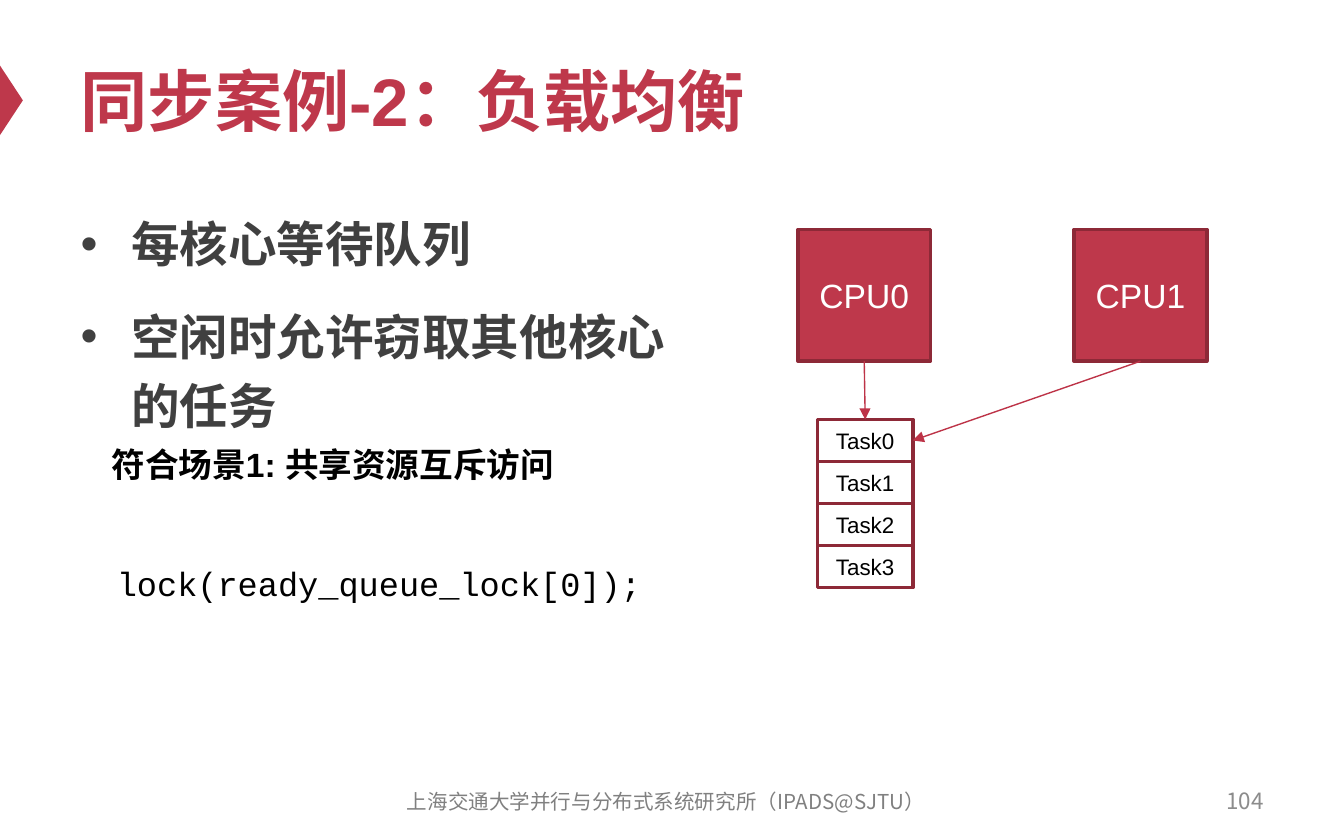
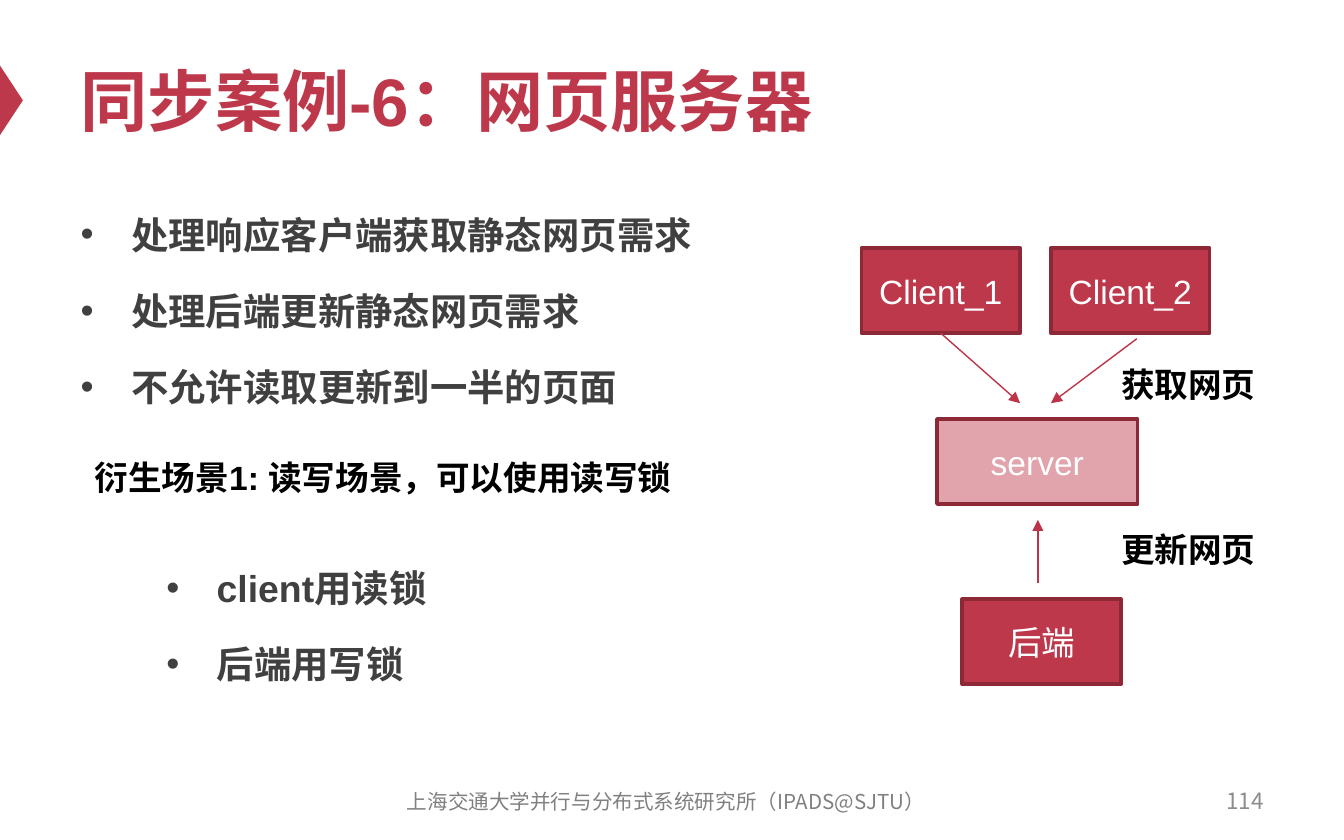
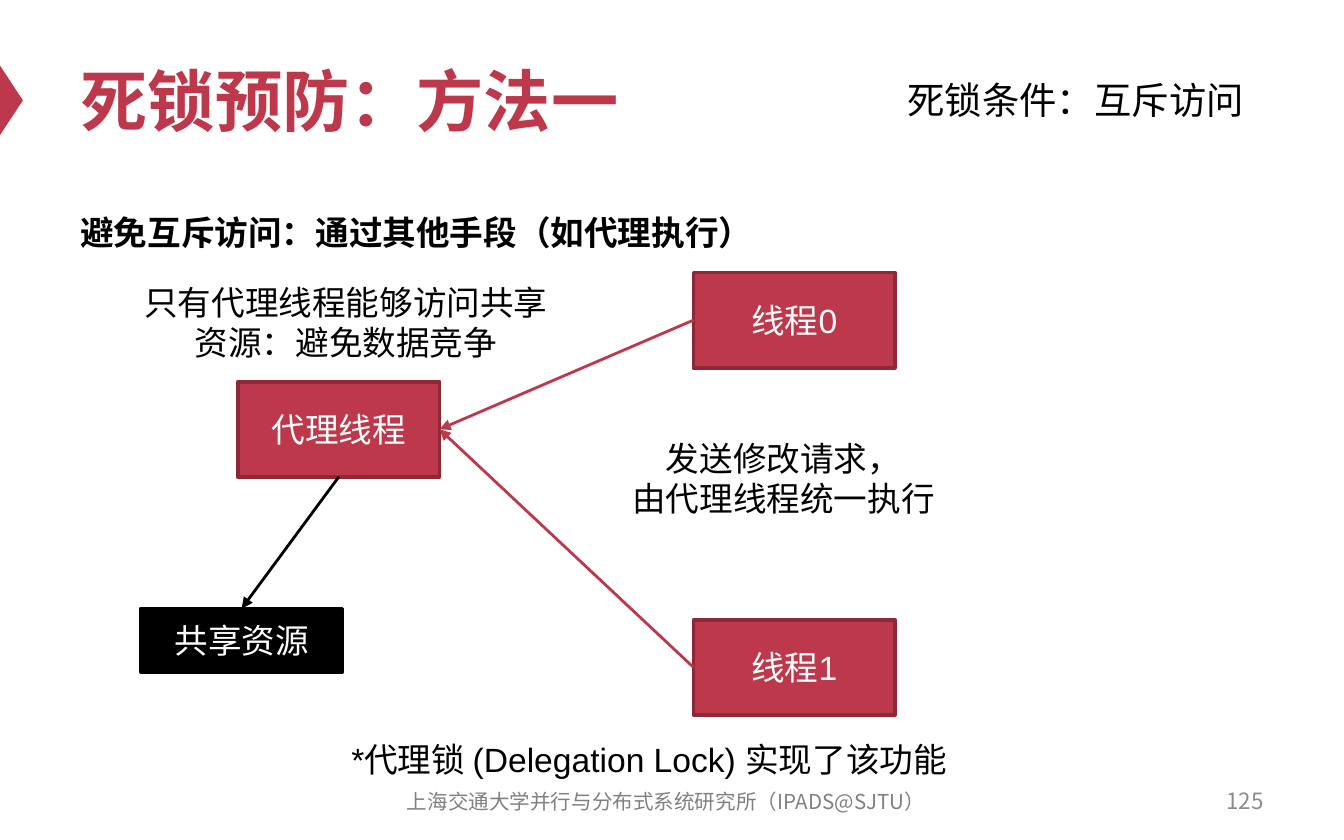
import pptx
import pptx.util
import pptx.dml.color
import pptx.enum.shapes
import pptx.enum.text
import pptx.oxml.ns
from lxml import etree

Pt = pptx.util.Pt
ALIGN = pptx.enum.text.PP_ALIGN
MIDDLE = pptx.enum.text.MSO_ANCHOR.MIDDLE
SHAPE = pptx.enum.shapes.MSO_SHAPE
qn = pptx.oxml.ns.qn

COLORS = {"red": "BE384B", "dark_red": "8D2937", "arrow": "BD3347",
          "body": "404040", "black": "000000", "white": "FFFFFF",
          "footer": "808080", "number": "8C8C8C"}
CJK_FONT = "Noto Sans CJK SC"
FOOTER = "上海交通大学并行与分布式系统研究所（IPADS@SJTU）"
TOP, LEFT, BOTTOM, RIGHT = range(4)  # connection sites of a rectangle


def rgb(name):
    return pptx.dml.color.RGBColor.from_string(COLORS[name])


def write(frame, text, size, color="black", bold=False, align=ALIGN.LEFT,
          font="Arial", bullets=False, spacing=None, wrap=True, anchor=None):
    """Fill a text frame, one paragraph a line, and format every run."""
    frame.text = text
    frame.word_wrap = wrap
    frame.auto_size = pptx.enum.text.MSO_AUTO_SIZE.NONE
    if anchor is not None:
        frame.vertical_anchor = anchor
    for index, paragraph in enumerate(frame.paragraphs):
        paragraph.alignment = align
        paragraph.space_before = Pt(12 if bullets and index else 0)
        if spacing:
            paragraph.line_spacing = spacing
        if bullets:
            properties = paragraph._p.get_or_add_pPr()
            properties.set("marL", str(Pt(27)))
            properties.set("indent", str(-Pt(27)))
            etree.SubElement(properties, qn("a:buFont"), typeface="Arial")
            etree.SubElement(properties, qn("a:buChar"), char="•")
        for run in paragraph.runs:
            run.font.name = font
            run.font.size = Pt(size)
            run.font.bold = bold
            run.font.color.rgb = rgb(color)
            etree.SubElement(run._r.get_or_add_rPr(), qn("a:ea"), typeface=CJK_FONT)


LIST = dict(color="body", bold=True, bullets=True, spacing=1.2)
CENTERED = dict(align=ALIGN.CENTER)
SCENE = dict(bold=True, align=ALIGN.CENTER)
LABEL = dict(bold=True, wrap=False)

# boxes: text, place, fill, line, font size, font colour
# notes: text, place, font size, style
# arrows: start and end, each a point or (box text, connection site)
cpu_boxes = [(f"CPU{i}", (427.5 + 148 * i, 123, 71, 70.5), "red", "dark_red", 18, "white")
             for i in range(2)]
task_boxes = [(f"Task{i}", (438, 224.75 + 22.5 * i, 51, 22.5), None, "dark_red", 12, "black")
              for i in range(4)]
client_boxes = [(f"Client_{i + 1}", (461.5 + 101.5 * i, 133, 85, 45.5),
                 "red", "dark_red", 18, "white") for i in range(2)]
thread_boxes = [(f"线程{i}", (371.5, 146 + 186 * i, 108, 51), "red", "dark_red", 18, "white")
                for i in range(2)]

lessons = [
    {
        "title": "同步案例-2：负载均衡", "number": "104",
        "list": ("每核心等待队列\n空闲时允许窃取其他核心的任务", (36, 105, 346.5, 296.5), 26),
        "boxes": cpu_boxes + task_boxes,
        "arrows": [(("CPU1", BOTTOM), ("Task0", RIGHT), "arrow", 0.75),
                   (("CPU0", BOTTOM), ("Task0", TOP), "arrow", 0.75)],
        "notes": [
            ("符合场景1: 共享资源互斥访问", (36, 234, 284.5, 29), 18, SCENE),
            ("lock(ready_queue_lock[0]);", (55.5, 298, 307.5, 29), 18,
             dict(font="Courier New", wrap=False)),
        ],
    },
    {
        "title": "同步案例-6：网页服务器", "number": "114",
        "list": ("处理响应客户端获取静态网页需求\n处理后端更新静态网页需求\n不允许读取更新到一半的页面",
                 (36, 105, 356.5, 132), 20),
        "boxes": client_boxes + [
            ("server", (502, 224.5, 107.5, 45.5), "red", "dark_red", 18, "white"),
            ("后端", (515.5, 321, 85, 45.5), "red", "dark_red", 18, "white"),
        ],
        "translucent": "server",
        "arrows": [((504, 178.5), (546.5, 216), "arrow", 0.75),
                   ((609, 181.5), (563, 216), "arrow", 0.75),
                   ((556, 312.5), (556, 278.5), "arrow", 0.75)],
        "notes": [
            ("衍生场景1: 读写场景，可以使用读写锁", (36, 241, 338.5, 29), 18, SCENE),
            ("获取网页", (593.5, 191.5, 87, 29), 18, LABEL),
            ("更新网页", (593.5, 280, 87, 29), 18, LABEL),
            ("client用读锁\n后端用写锁", (82, 294.5, 227, 83.5), 20, LIST),
        ],
    },
    {
        "title": "死锁预防：方法一", "number": "125",
        "boxes": thread_boxes + [
            ("代理线程", (127.5, 204.5, 108, 51), "red", "dark_red", 18, "white"),
            ("共享资源", (75.5, 326, 108, 34), "black", "black", 18, "white"),
        ],
        "arrows": [(("代理线程", BOTTOM), ("共享资源", TOP), "black", 1.5),
                   (("线程0", LEFT), ("代理线程", RIGHT), "red", 1.5),
                   (("线程1", LEFT), ("代理线程", RIGHT), "red", 1.5)],
        "notes": [
            ("避免互斥访问：通过其他手段（如代理执行）", (36, 88.5, 515, 44), 18,
             dict(bold=True, spacing=2.0)),
            ("只有代理线程能够访问共享资源：避免数据竞争", (68.5, 147.5, 233.5, 51), 18, CENTERED),
            ("发送修改请求，\n由代理线程统一执行", (303, 231, 233.5, 51), 18, CENTERED),
            ("*代理锁 (Delegation Lock) 实现了该功能", (159, 392.5, 377.5, 29), 18, CENTERED),
            ("死锁条件：互斥访问", (479, 38, 196.5, 31.5), 20, dict(wrap=False)),
        ],
    },
]

deck = pptx.Presentation()
deck.slide_width, deck.slide_height = Pt(720), Pt(450)
list_layout, title_layout = deck.slide_layouts[1], deck.slide_layouts[5]

for lesson in lessons:
    slide = deck.slides.add_slide(list_layout if "list" in lesson else title_layout)

    marker = slide.shapes.add_shape(SHAPE.ISOSCELES_TRIANGLE,
                                    Pt(-13), Pt(47.5), Pt(38), Pt(12.5))
    marker.rotation = 90
    marker.shadow.inherit = False
    marker.fill.solid()
    marker.fill.fore_color.rgb = rgb("red")
    marker.line.fill.background()

    title = slide.shapes.title
    title.left, title.top, title.width, title.height = Pt(36), Pt(18), Pt(648), Pt(70.5)
    write(title.text_frame, lesson["title"], 36, "red", bold=True, anchor=MIDDLE)

    if "list" in lesson:
        points, place, size = lesson["list"]
        body = slide.placeholders[1]
        body.left, body.top, body.width, body.height = map(Pt, place)
        write(body.text_frame, points, size, **LIST)

    boxes = {}
    for text, place, fill, line, size, color in lesson["boxes"]:
        box = boxes[text] = slide.shapes.add_shape(SHAPE.RECTANGLE, *map(Pt, place))
        box.shadow.inherit = False
        if fill:
            box.fill.solid()
            box.fill.fore_color.rgb = rgb(fill)
        else:
            box.fill.background()
        if text == lesson.get("translucent"):
            tint = box._element.spPr.find(qn("a:solidFill")).find(qn("a:srgbClr"))
            etree.SubElement(tint, qn("a:alpha"), val="46000")
        box.line.color.rgb = rgb(line)
        box.line.width = Pt(2)
        write(box.text_frame, text, size, color, align=ALIGN.CENTER, anchor=MIDDLE)

    for start, end, color, width in lesson["arrows"]:
        arrow = slide.shapes.add_connector(pptx.enum.shapes.MSO_CONNECTOR.STRAIGHT, 0, 0, 0, 0)
        if start[0] in boxes:
            arrow.begin_connect(boxes[start[0]], start[1])
            arrow.end_connect(boxes[end[0]], end[1])
        else:
            arrow.begin_x, arrow.begin_y = map(Pt, start)
            arrow.end_x, arrow.end_y = map(Pt, end)
        arrow.line.color.rgb = rgb(color)
        arrow.line.width = Pt(width)
        etree.SubElement(arrow.line._get_or_add_ln(), qn("a:tailEnd"), type="triangle")
        etree.SubElement(arrow._element.spPr, qn("a:effectLst"))

    footers = [
        (FOOTER, (201, 417.5, 311.5, 24), 11,
         dict(color="footer", font=CJK_FONT, align=ALIGN.CENTER, anchor=MIDDLE)),
        (lesson["number"], (516, 417, 168, 24), 12,
         dict(color="number", font=CJK_FONT, align=ALIGN.RIGHT, anchor=MIDDLE)),
    ]
    for text, place, size, style in lesson["notes"] + footers:
        note = slide.shapes.add_textbox(*map(Pt, place))
        write(note.text_frame, text, size, **style)

deck.save("out.pptx")
